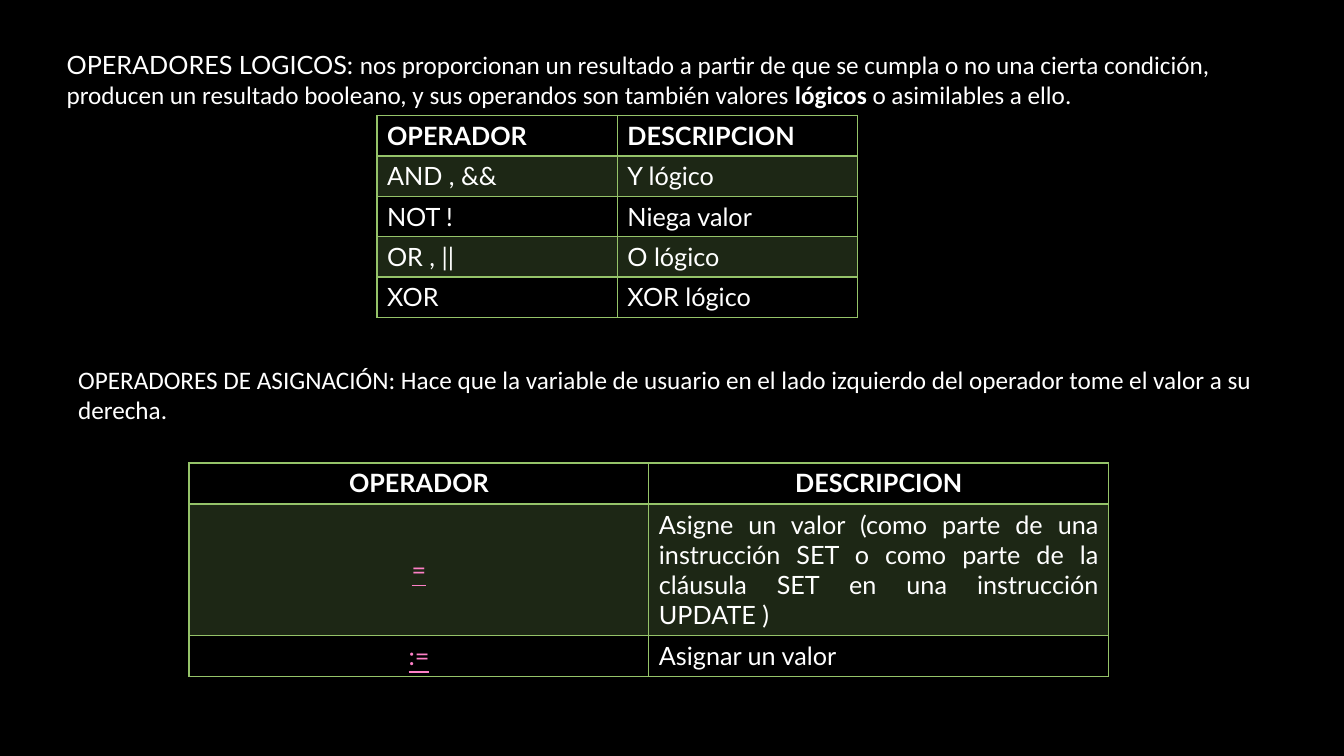
from lxml.etree import SubElement
from pptx import Presentation
from pptx.dml.color import RGBColor
from pptx.enum.text import MSO_ANCHOR as ANCHOR, PP_ALIGN as ALIGN
from pptx.oxml import parse_xml
from pptx.oxml.ns import nsdecls, qn
from pptx.util import Pt

PX = 9525
COLORS = {"bg": "000000", "text": "FFFFFF", "line": "95C369", "link": "FE80C7"}


def px(n):
    return n * PX


def rgb(name):
    return RGBColor.from_string(COLORS[name])


def add_run(p, text, font="Lato", size=18, color="text", bold=False, underline=False):
    r = p.add_run()
    r.text = text
    r.font.name = font
    r.font.size = Pt(size)
    r.font.bold = bold
    r.font.underline = underline
    r.font.color.rgb = rgb(color)


def add_definition(s, box, runs):
    tf = s.shapes.add_textbox(*map(px, box)).text_frame
    tf.word_wrap = True
    for text, fmt in runs:
        add_run(tf.paragraphs[0], text, **fmt)


def set_border(cell, widths):
    tc_pr = cell._tc.get_or_add_tcPr()
    for i, (side, width) in enumerate(zip("LRTB", widths)):
        ln = parse_xml(
            f'<a:ln{side} {nsdecls("a")} w="{Pt(width)}"><a:solidFill>'
            f'<a:srgbClr val="{COLORS["line"]}"/></a:solidFill></a:ln{side}>'
        )
        tc_pr.insert(i, ln)


def fill_cell(cell, shaded):
    if not shaded:
        cell.fill.background()
        return
    cell.fill.solid()
    cell.fill.fore_color.rgb = rgb("line")
    clr = cell._tc.tcPr.find(".//" + qn("a:srgbClr"))
    SubElement(clr, qn("a:alpha"), val="20000")


def add_operator_table(s, box, heights, rows, aligns, head_align, head_anchor, op_fmt):
    x, y, w = box
    frame = s.shapes.add_table(len(rows), 2, px(x), px(y), px(w), px(sum(heights)))
    table = frame.table
    table.horz_banding = False
    table.first_row = True
    for col in table.columns:
        col.width = px(w // 2)
    for i, (row, height) in enumerate(zip(rows, heights)):
        table.rows[i].height = px(height)
        for j, text in enumerate(row):
            cell = table.cell(i, j)
            head = i == 0
            cell.vertical_anchor = head_anchor if head else ANCHOR.MIDDLE
            p = cell.text_frame.paragraphs[0]
            p.alignment = head_align if head else aligns[j]
            fmt = op_fmt if j == 0 and not head else {}
            add_run(p, text, bold=head, **fmt)
            fill_cell(cell, i % 2 == 1)
            set_border(cell, (1, 1, 2 if i == 1 else 1, 2 if head else 1))


def add_logical(s, x, y):
    calibri = {"font": "Calibri"}
    add_definition(s, (x, y, 1151, 68), [
        ("OPERADORES LOGICOS: ", {}),
        ("nos proporcionan un resultado a partir de que se cumpla o no una cierta "
         "condición, producen un resultado booleano, y sus operandos son también "
         "valores ", calibri),
        ("lógicos", {"font": "Calibri", "bold": True}),
        (" o asimilables a ello.", calibri),
    ])
    rows = [
        ("OPERADOR", "DESCRIPCION"),
        ("AND , &&", "Y lógico"),
        ("NOT !", "Niega valor"),
        ("OR , ||", "O lógico"),
        ("XOR", "XOR lógico"),
    ]
    add_operator_table(s, (x + 305, y + 68, 458), [38] * len(rows), rows,
                       (ALIGN.LEFT, ALIGN.LEFT), ALIGN.LEFT, ANCHOR.MIDDLE, {})


def add_assignment(s, x, y):
    add_definition(s, (x, y, 1151, 68), [
        ("OPERADORES DE ASIGNACIÓN: Hace que la variable de usuario en el lado "
         "izquierdo del operador tome el valor a su derecha.", {"font": "Calibri"}),
    ])
    rows = [
        ("OPERADOR", "DESCRIPCION"),
        ("=", "Asigne un valor (como parte de una instrucción SET o como parte de "
              "la cláusula SET en una instrucción UPDATE )"),
        (":=", "Asignar un valor"),
    ]
    add_operator_table(s, (x + 115, y + 99, 876), (39, 125, 39), rows,
                       (ALIGN.CENTER, ALIGN.JUSTIFY), ALIGN.CENTER, ANCHOR.TOP,
                       {"color": "link", "underline": True})


def main():
    prs = Presentation()
    prs.slide_width, prs.slide_height = px(1280), px(720)
    s = prs.slides.add_slide(prs.slide_layouts[6])
    s.background.fill.solid()
    s.background.fill.fore_color.rgb = rgb("bg")
    add_logical(s, 54, 42)
    add_assignment(s, 65, 342)
    prs.save("out.pptx")


if __name__ == "__main__":
    main()
